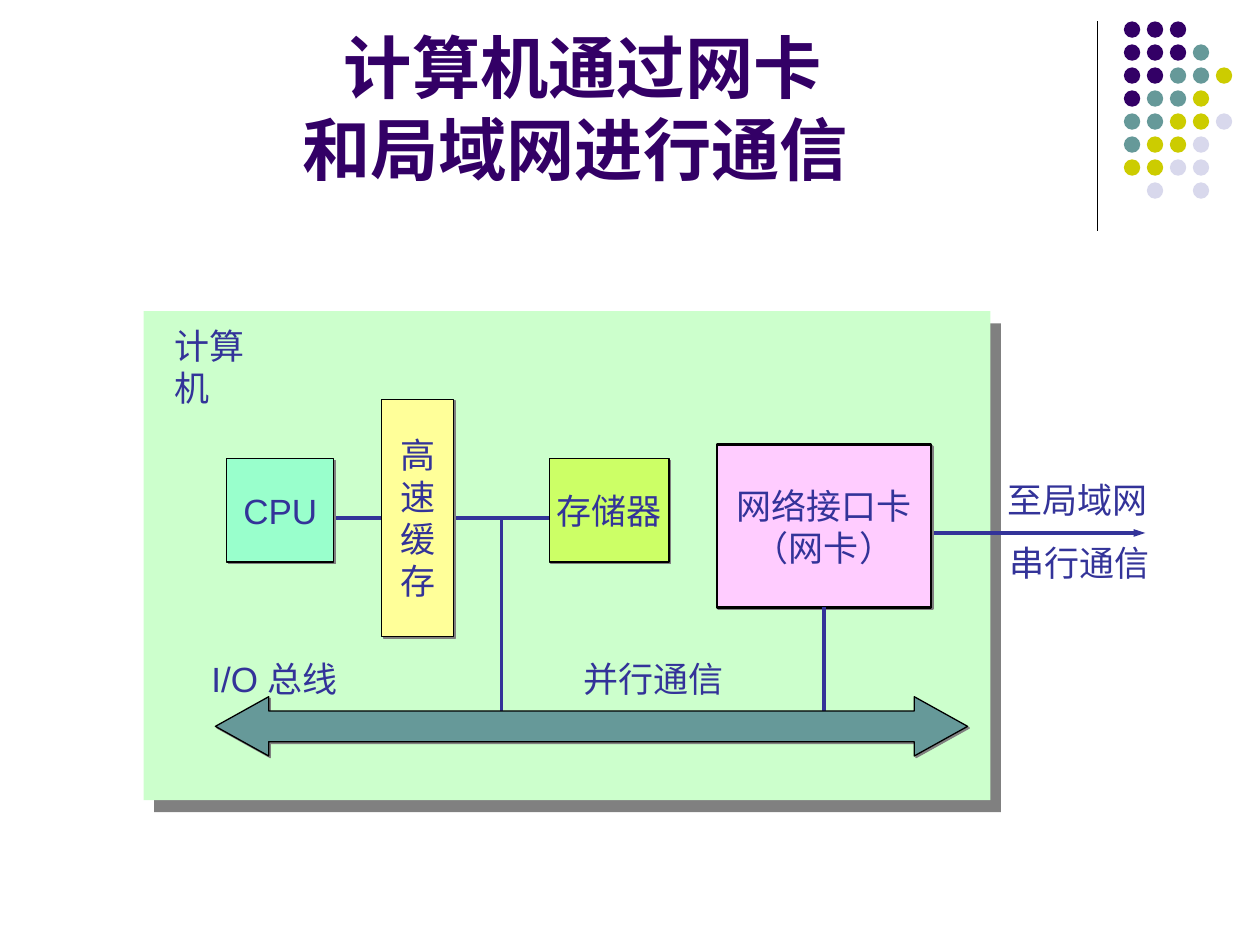
from typing import NamedTuple

from lxml import etree
from pptx import Presentation
from pptx.dml.color import RGBColor
from pptx.enum.shapes import MSO_CONNECTOR, MSO_SHAPE
from pptx.enum.text import MSO_ANCHOR, MSO_AUTO_SIZE, PP_ALIGN
from pptx.oxml.ns import qn
from pptx.util import Inches, Pt

RECTANGLE = MSO_SHAPE.RECTANGLE
OVAL = MSO_SHAPE.OVAL
LEFT_RIGHT_ARROW = MSO_SHAPE.LEFT_RIGHT_ARROW
STRAIGHT = MSO_CONNECTOR.STRAIGHT
MIDDLE, BOTTOM = MSO_ANCHOR.MIDDLE, MSO_ANCHOR.BOTTOM
CENTER, LEFT = PP_ALIGN.CENTER, PP_ALIGN.LEFT
FIT_SHAPE = MSO_AUTO_SIZE.SHAPE_TO_FIT_TEXT

FONT = "Arial"
BODY_SIZE = 20
BLACK, NAVY, PURPLE, TEAL = "000000", "333399", "330066", "669999"
SHADOW_COLOUR = "808080"
BOTTOM_SITE = 2

DOT_ROWS = ("PPP", "PPPT", "PPTTY", "PTTY", "TTYYL", "TYYL", "YYLL", " L L")
DOT_COLOURS = {"P": PURPLE, "T": TEAL, "Y": "CCCC00", "L": "D8D8EC"}
DOT_LEFT, DOT_TOP, DOT_SIZE, DOT_PITCH = 8.92, 0.17, 0.13, 0.73 / 4


class Box(NamedTuple):
    left: float
    top: float
    width: float
    height: float


class Shadow(NamedTuple):
    distance: float
    angle: int


class Component(NamedTuple):
    box: Box
    fill: str
    lines: tuple[str, ...]
    border: float = 0.75


class Label(NamedTuple):
    box: Box
    text: str


SMALL_SHADOW = Shadow(1.4, 45)
COMPUTER_SHADOW = Shadow(9.2, 49)

CPU = Component(Box(1.8, 3.64, 0.85, 0.82), "99FFCC", ("CPU",))
CACHE = Component(Box(3.03, 3.17, 0.57, 1.88), "FFFF99", tuple("高速缓存"))
MEMORY = Component(Box(4.36, 3.64, 0.95, 0.82), "CCFF66", ("存储器",))
NETWORK_CARD = Component(
    Box(5.69, 3.53, 1.7, 1.29), "FFCCFF", ("网络接口卡", "（网卡）"), 1.5
)

LABELS = (
    Label(Box(1.29, 2.53, 1.03, 0.44), "计算机"),
    Label(Box(1.58, 5.17, 1.27, 0.44), "I/O 总线"),
    Label(Box(4.53, 5.17, 1.31, 0.44), "并行通信"),
    Label(Box(7.9, 3.75, 1.31, 0.44), "至局域网"),
    Label(Box(7.91, 4.25, 1.31, 0.44), "串行通信"),
)


def rgb(colour: str) -> RGBColor:
    """Turn a hex string into a colour."""
    return RGBColor.from_string(colour)


def emu(box: Box) -> list:
    """Give a box in slide units."""
    return [Inches(value) for value in box]


def add_run(paragraph, text: str, size: float, colour: str, bold: bool = False) -> None:
    """Append one formatted run to a paragraph."""
    run = paragraph.add_run()
    run.text = text
    run.font.name = FONT
    run.font.size = Pt(size)
    run.font.bold = bold
    run.font.color.rgb = rgb(colour)


def add_figure(slide, preset, box: Box, fill: str, border: float = 0,
               shadow: Shadow | None = None):
    """Draw a filled shape with an optional black border and hard shadow."""
    figure = slide.shapes.add_shape(preset, *emu(box))
    figure.shadow.inherit = False
    figure.fill.solid()
    figure.fill.fore_color.rgb = rgb(fill)
    if border:
        figure.line.color.rgb = rgb(BLACK)
        figure.line.width = Pt(border)
    else:
        figure.line.fill.background()
    if shadow:
        effects = figure._element.spPr.find(qn("a:effectLst"))
        outer = etree.SubElement(
            effects, qn("a:outerShdw"), dist=str(Pt(shadow.distance)),
            dir=str(shadow.angle * 60000), algn="ctr", rotWithShape="0")
        etree.SubElement(outer, qn("a:srgbClr"), val=SHADOW_COLOUR)
    return figure


def add_component(slide, component: Component):
    """Draw a computer part with its centred name."""
    figure = add_figure(slide, RECTANGLE, component.box, component.fill,
                        component.border, SMALL_SHADOW)
    frame = figure.text_frame
    frame.word_wrap = False
    frame.vertical_anchor = MIDDLE
    for index, line in enumerate(component.lines):
        paragraph = frame.add_paragraph() if index else frame.paragraphs[0]
        paragraph.alignment = CENTER
        add_run(paragraph, line, BODY_SIZE, NAVY)
    return figure


def add_label(slide, label: Label) -> None:
    """Write a single-line label."""
    frame = slide.shapes.add_textbox(*emu(label.box)).text_frame
    frame.word_wrap = False
    frame.auto_size = FIT_SHAPE
    frame.paragraphs[0].alignment = LEFT
    add_run(frame.paragraphs[0], label.text, BODY_SIZE, NAVY)


def add_line(slide, start: tuple[float, float], end: tuple[float, float],
             colour: str = NAVY, width: float = 2.25, arrow: bool = False):
    """Draw a straight line, with an arrowhead at its end if asked."""
    points = [Inches(value) for value in (*start, *end)]
    line = slide.shapes.add_connector(STRAIGHT, *points)
    line.line.color.rgb = rgb(colour)
    line.line.width = Pt(width)
    if arrow:
        etree.SubElement(line.line._get_or_add_ln(), qn("a:tailEnd"),
                         type="triangle", w="sm", len="med")
    etree.SubElement(line._element.spPr, qn("a:effectLst"))
    return line


def add_decoration(slide) -> None:
    """Draw the corner rule and the grid of dots."""
    add_line(slide, (8.71, 0.17), (8.71, 1.83), BLACK, 0.75)
    for row, colours in enumerate(DOT_ROWS):
        for column, key in enumerate(colours):
            if key in DOT_COLOURS:
                box = Box(DOT_LEFT + column * DOT_PITCH,
                          DOT_TOP + row * DOT_PITCH, DOT_SIZE, DOT_SIZE)
                add_figure(slide, OVAL, box, DOT_COLOURS[key])


def add_title(slide) -> None:
    """Write the two-line title."""
    frame = slide.shapes.add_textbox(*emu(Box(0.5, 0.13, 8.25, 1.42))).text_frame
    frame.word_wrap = True
    frame.vertical_anchor = BOTTOM
    paragraph = frame.paragraphs[0]
    paragraph.alignment = CENTER
    add_run(paragraph, "计算机通过网卡", 39, PURPLE, bold=True)
    paragraph.add_line_break()
    add_run(paragraph, "和局域网进行通信 ", 39, PURPLE, bold=True)


def add_computer(slide) -> None:
    """Draw the computer, its parts, the bus and the wiring."""
    add_figure(slide, RECTANGLE, Box(1.14, 2.47, 6.72, 3.88), "CCFFCC",
               shadow=COMPUTER_SHADOW)
    add_line(slide, (3.98, 5.76), (3.98, 4.11))
    add_line(slide, (2.65, 4.11), (4.36, 4.11))
    add_line(slide, (7.3, 4.23), (9.09, 4.23), arrow=True)
    for component in (CPU, CACHE, MEMORY):
        add_component(slide, component)
    network_card = add_component(slide, NETWORK_CARD)
    card_link = add_line(slide, (6.54, 5.76), (6.54, 4.82))
    card_link.end_connect(network_card, BOTTOM_SITE)
    bus = add_figure(slide, LEFT_RIGHT_ARROW, Box(1.71, 5.53, 5.97, 0.47), TEAL,
                     0.75, SMALL_SHADOW)
    bus.adjustments[0] = 0.52
    bus.adjustments[1] = 0.9


def main() -> None:
    """Build the slide and save it."""
    presentation = Presentation()
    presentation.slide_width, presentation.slide_height = Inches(10), Inches(7.5)
    slide = presentation.slides.add_slide(presentation.slide_layouts[6])
    add_decoration(slide)
    add_title(slide)
    add_computer(slide)
    for label in LABELS:
        add_label(slide, label)
    presentation.save("out.pptx")


if __name__ == "__main__":
    main()
